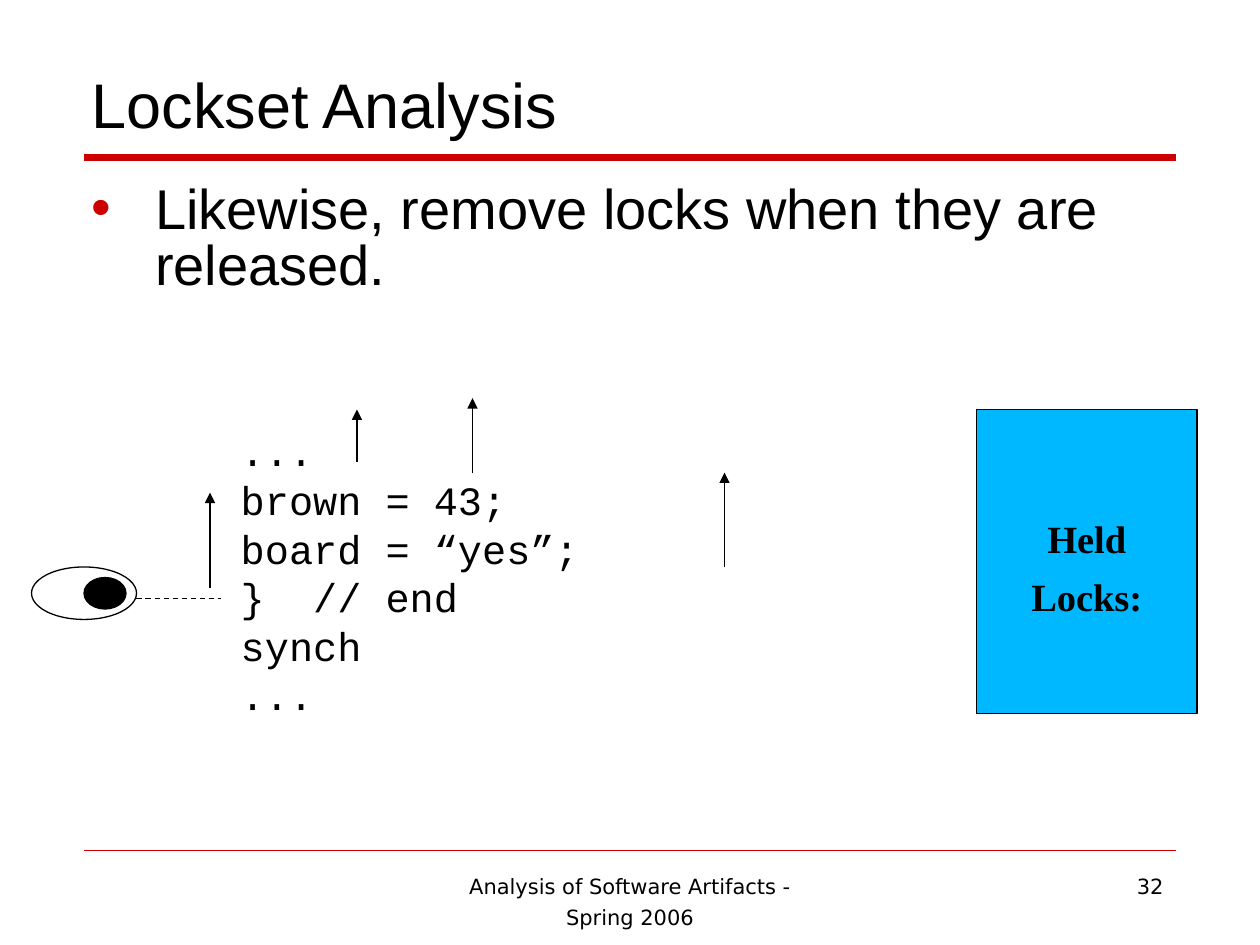
from lxml import etree
from pptx import Presentation
from pptx import util as u
from pptx.dml.color import RGBColor
from pptx.enum import dml, shapes, text
from pptx.oxml.ns import qn

Pt = u.Pt
HUES = {"ink": "000000", "red": "CC0000", "blue": "00B8FF"}
LEFT, MID, RIGHT = text.PP_ALIGN.LEFT, text.PP_ALIGN.CENTER, text.PP_ALIGN.RIGHT
TOP, CORE, BASE = (text.MSO_ANCHOR.TOP, text.MSO_ANCHOR.MIDDLE,
                   text.MSO_ANCHOR.BOTTOM)


def hue(name):
    """Return the named colour."""
    return RGBColor.from_string(HUES[name])


def write(shape, lines, font, size, space, align=LEFT, anchor=TOP,
          bold=False, wrap=True):
    """Fill a shape with one paragraph per line."""
    frame = shape.text_frame
    frame.word_wrap = wrap
    frame.vertical_anchor = anchor
    for i, line in enumerate(lines):
        para = frame.add_paragraph() if i else frame.paragraphs[0]
        para.alignment = align
        para.line_spacing = space
        run = para.add_run()
        run.text = line
        run.font.name = font
        run.font.size = Pt(size)
        run.font.bold = bold
        run.font.color.rgb = hue("ink")
    return frame


def label(slide, box, lines, font, size, space, **style):
    """Add a text box."""
    shape = slide.shapes.add_textbox(*map(Pt, box))
    return write(shape, lines, font, size, space, **style)


def bullet(para, indent):
    """Give a paragraph a red bullet and a hanging indent."""
    props = para._p.get_or_add_pPr()
    props.set("marL", str(Pt(indent)))
    props.set("indent", str(-Pt(indent)))
    tint = etree.SubElement(props, qn("a:buClr"))
    etree.SubElement(tint, qn("a:srgbClr"), val=HUES["red"])
    etree.SubElement(props, qn("a:buFont"), typeface="Arial")
    etree.SubElement(props, qn("a:buChar"), char="•")


def rule(slide, start, end, tint="ink", width=0.75, dash=False, head=False):
    """Add a straight line, dashed or with an arrowhead if asked."""
    line = slide.shapes.add_connector(
        shapes.MSO_CONNECTOR.STRAIGHT, *map(Pt, start + end))
    line.line.color.rgb = hue(tint)
    line.line.width = Pt(width)
    if dash:
        line.line.dash_style = dml.MSO_LINE.DASH
    if head:
        etree.SubElement(line.line._get_or_add_ln(), qn("a:tailEnd"),
                         type="triangle")
    etree.SubElement(line._element.spPr, qn("a:effectLst"))


def solid(slide, kind, box, fill=None):
    """Add an outlined shape, filled if a colour is given."""
    shape = slide.shapes.add_shape(kind, *map(Pt, box))
    shape.shadow.inherit = False
    if fill:
        shape.fill.solid()
        shape.fill.fore_color.rgb = hue(fill)
    else:
        shape.fill.background()
    shape.line.color.rgb = hue("ink")
    shape.line.width = Pt(0.75)
    return shape


def eye(slide):
    """Draw the eye and its line of sight."""
    oval = shapes.MSO_SHAPE.OVAL
    solid(slide, oval, (18, 324, 60, 30))
    solid(slide, oval, (48, 330, 24, 18), "ink")
    rule(slide, (78, 342), (126, 342), dash=True)


def main():
    """Build the slide and save it."""
    deck = Presentation()
    deck.slide_width, deck.slide_height = Pt(720), Pt(540)
    slide = deck.slides.add_slide(deck.slide_layouts[6])

    rule(slide, (48, 486), (672, 486), "red", 0.25)
    label(slide, (246, 492, 228, 43), ["Analysis of Software Artifacts - Spring 2006"],
          "DejaVu Sans", 12, 1.24, align=MID)
    label(slide, (516, 492, 156, 27), ["32"], "DejaVu Sans", 12, 1.24,
          align=RIGHT)
    rule(slide, (48, 90), (672, 90), "red", 4)

    label(slide, (45.2, 23, 597, 61.2), ["Lockset Analysis"], "Arial", 36,
          Pt(36.1), anchor=BASE)
    body = label(slide, (45, 102, 630, 103),
                 ["Likewise, remove locks when they are released."],
                 "Arial", 32, Pt(32.1))
    body.paragraphs[0].space_before = Pt(8)
    bullet(body.paragraphs[0], 36.5)

    code = ["...", "brown = 43;", "board = “yes”;", "}  // end synch", "..."]
    label(slide, (130.5, 240, 221.5, 147), code, "Courier New", 23, 1.01,
          wrap=False)

    for x, low, high in ((120, 336, 281.5), (270, 270, 227.5),
                         (414, 324, 270), (204, 264, 234)):
        rule(slide, (x, low), (x, high), head=True)
    eye(slide)

    held = solid(slide, shapes.MSO_SHAPE.RECTANGLE, (558, 234, 126, 173.8),
                 "blue")
    write(held, ["Held Locks:"], "Times New Roman", 22, 1.24, align=MID,
          anchor=CORE, bold=True)
    deck.save("out.pptx")


if __name__ == "__main__":
    main()
